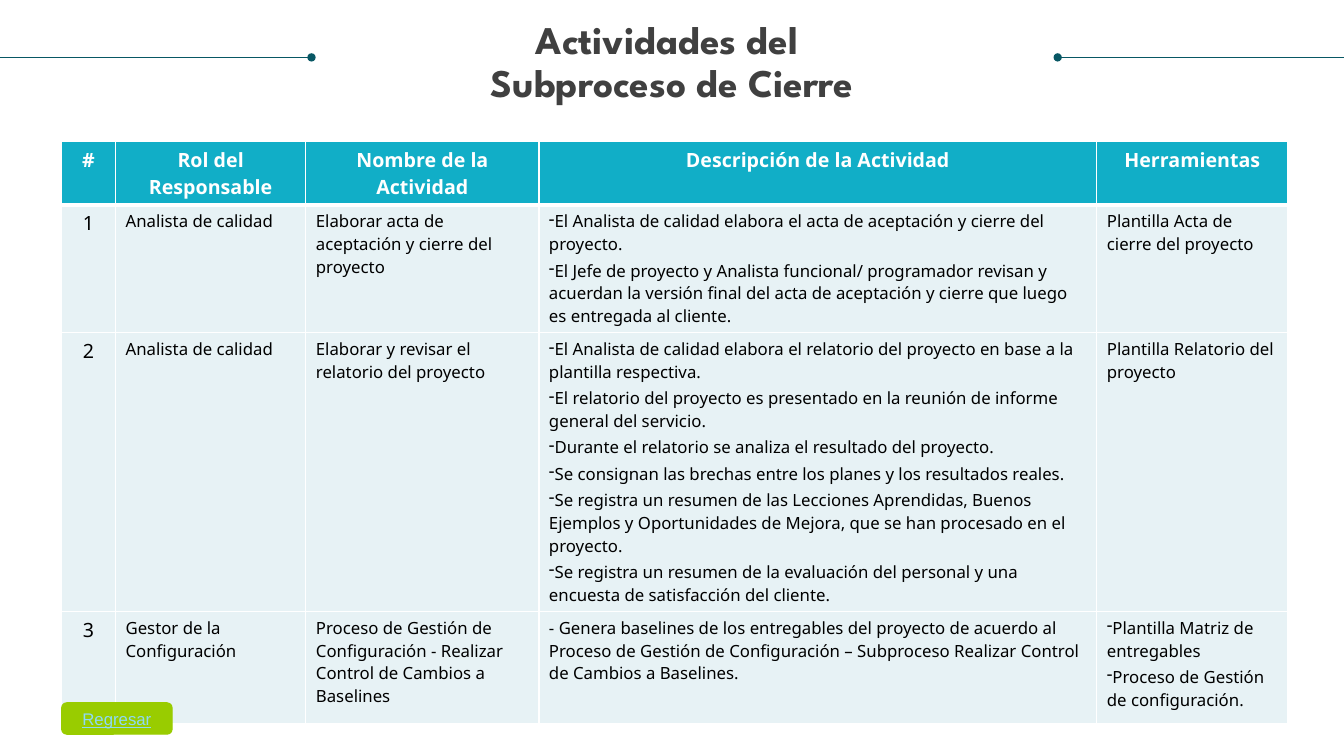
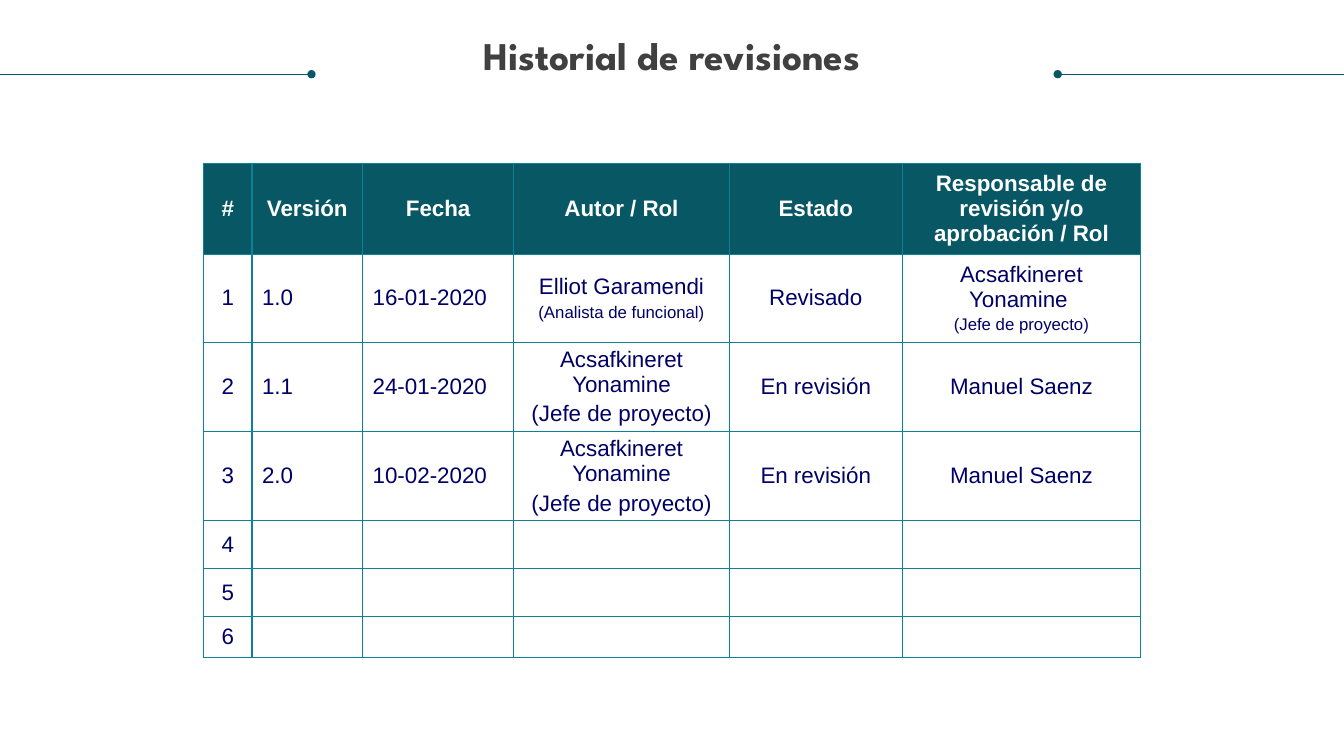
from dataclasses import dataclass

from lxml.etree import SubElement
from pptx import Presentation
from pptx.dml.color import RGBColor
from pptx.enum.shapes import MSO_CONNECTOR, MSO_SHAPE
from pptx.enum.text import MSO_ANCHOR, PP_ALIGN
from pptx.oxml import parse_xml
from pptx.oxml.ns import nsdecls, qn
from pptx.util import Pt

WHITE = RGBColor(0xFF, 0xFF, 0xFF)
BLACK = RGBColor(0x00, 0x00, 0x00)
CHARCOAL = RGBColor(0x40, 0x40, 0x40)
PETROL = RGBColor(0x08, 0x57, 0x64)
TEAL = RGBColor(0x0D, 0x82, 0x95)
TURQUOISE = RGBColor(0x11, 0xAE, 0xC7)
MIST = RGBColor(0xE7, 0xF2, 0xF5)
NAVY = RGBColor(0x00, 0x00, 0x66)
LIME = RGBColor(0x99, 0xCC, 0x00)
SKY = RGBColor(0x8E, 0xD9, 0xF6)

PAGE_WIDTH, PAGE_HEIGHT = 960, 540
RULE_LENGTH = 222.5
LEFT, CENTER = PP_ALIGN.LEFT, PP_ALIGN.CENTER


@dataclass
class Line:
    text: str
    size: float = 0
    bullet: bool = False


@dataclass
class TableStyle:
    font: str
    header_fill: RGBColor
    body_fill: RGBColor
    body_color: RGBColor
    border: RGBColor
    header_size: float
    column_sizes: tuple
    alignments: tuple
    anchor: MSO_ANCHOR
    header_rule: float = 1


def bullets(*texts):
    return [Line(text, bullet=True) for text in texts]


def write(frame, lines, size, font, color, bold=False, underline=False,
          align=LEFT, spacing=None, gap=0):
    for index, line in enumerate(lines):
        para = frame.paragraphs[0] if index == 0 else frame.add_paragraph()
        para.alignment = align
        if spacing:
            para.line_spacing = spacing
        line_size = line.size or size
        if index and gap:
            para.space_before = Pt(gap * line_size)
        if line.bullet:
            settings = para._p.get_or_add_pPr()
            settings.set("marL", "0")
            settings.set("indent", "0")
            SubElement(settings, qn("a:buChar")).set("char", "-")
        span = para.add_run()
        span.text = line.text
        span.font.size = Pt(line_size)
        span.font.name = font
        span.font.bold = bold
        span.font.underline = underline
        span.font.color.rgb = color


def add_rule(page, dot, edge, height):
    rule = page.shapes.add_connector(
        MSO_CONNECTOR.STRAIGHT, Pt(dot), Pt(height), Pt(edge), Pt(height))
    rule.line.color.rgb = PETROL
    rule.line.width = Pt(0.5)
    SubElement(rule.line._get_or_add_ln(), qn("a:headEnd")).set("type", "oval")
    SubElement(rule._element.spPr, qn("a:effectLst"))


def add_title(page, texts, top, height, rule_height):
    add_rule(page, PAGE_WIDTH - 204.5, PAGE_WIDTH, rule_height)
    box = page.shapes.add_textbox(Pt(18), Pt(top), Pt(924), Pt(height))
    frame = box.text_frame
    frame.word_wrap = True
    frame.margin_left = frame.margin_right = 0
    frame.margin_top = frame.margin_bottom = 0
    write(frame, [Line(text) for text in texts], 28, "League Spartan",
          CHARCOAL, bold=True, align=CENTER, spacing=0.9)
    add_rule(page, RULE_LENGTH, 0, rule_height)


def set_borders(cell, color, top, bottom):
    settings = cell._tc.get_or_add_tcPr()
    widths = {"lnL": 1, "lnR": 1, "lnT": top, "lnB": bottom}
    for position, (side, width) in enumerate(widths.items()):
        settings.insert(position, parse_xml(
            f'<a:{side} {nsdecls("a")} w="{Pt(width)}"><a:solidFill>'
            f'<a:srgbClr val="{color}"/></a:solidFill></a:{side}>'))


def add_grid(page, left, top, widths, heights, rows, style):
    table = page.shapes.add_table(
        len(heights), len(widths), Pt(left), Pt(top),
        Pt(sum(widths)), Pt(sum(heights))).table
    table.horz_banding = False
    table.first_row = False
    for column, width in zip(table.columns, widths):
        column.width = Pt(width)
    for row_index, (values, height) in enumerate(zip(rows, heights)):
        table.rows[row_index].height = Pt(height)
        header = row_index == 0
        for column_index, value in enumerate(values):
            cell = table.cell(row_index, column_index)
            cell.vertical_anchor = style.anchor
            cell.fill.solid()
            cell.fill.fore_color.rgb = (
                style.header_fill if header else style.body_fill)
            set_borders(cell, style.border,
                        style.header_rule if row_index == 1 else 1,
                        style.header_rule if header else 1)
            if value:
                write(cell.text_frame,
                      [Line(value)] if isinstance(value, str) else value,
                      style.header_size if header
                      else style.column_sizes[column_index],
                      style.font, WHITE if header else style.body_color,
                      bold=header, gap=0.2,
                      align=CENTER if header
                      else style.alignments[column_index])


def add_button(page, text, left, top, width, height):
    button = page.shapes.add_shape(
        MSO_SHAPE.FLOWCHART_ALTERNATE_PROCESS,
        Pt(left), Pt(top), Pt(width), Pt(height))
    button.shadow.inherit = False
    button.fill.solid()
    button.fill.fore_color.rgb = LIME
    button.line.color.rgb = LIME
    button.line.width = Pt(0.75)
    button.text_frame.word_wrap = False
    button.text_frame.vertical_anchor = MSO_ANCHOR.MIDDLE
    write(button.text_frame, [Line(text)], 12, "Arial", SKY,
          underline=True, align=CENTER)


def build_activities(page):
    rows = [
        ("#", "Rol del Responsable", "Nombre de la Actividad",
         "Descripción de la Actividad", "Herramientas"),
        ("1", "Analista de calidad",
         "Elaborar acta de aceptación y cierre del proyecto",
         bullets(
             "El Analista de calidad elabora el acta de aceptación y cierre "
             "del proyecto.",
             "El Jefe de proyecto y Analista funcional/ programador revisan y "
             "acuerdan la versión final del acta de aceptación y cierre que "
             "luego es entregada al cliente."),
         "Plantilla Acta de cierre del proyecto"),
        ("2", "Analista de calidad",
         "Elaborar y revisar el relatorio del proyecto",
         bullets(
             "El Analista de calidad elabora el relatorio del proyecto en "
             "base a la plantilla respectiva.",
             "El relatorio del proyecto es presentado en la reunión de "
             "informe general del servicio.",
             "Durante el relatorio se analiza el resultado del proyecto.",
             "Se consignan las brechas entre los planes y los resultados "
             "reales.",
             "Se registra un resumen de las Lecciones Aprendidas, Buenos "
             "Ejemplos y Oportunidades de Mejora, que se han procesado en el "
             "proyecto.",
             "Se registra un resumen de la evaluación del personal y una "
             "encuesta de satisfacción del cliente."),
         "Plantilla Relatorio del proyecto"),
        ("3", "Gestor de la Configuración",
         "Proceso de Gestión de Configuración - Realizar Control de Cambios "
         "a Baselines",
         "- Genera baselines de los entregables del proyecto de acuerdo al "
         "Proceso de Gestión de Configuración – Subproceso Realizar Control "
         "de Cambios a Baselines.",
         bullets("Plantilla Matriz de entregables",
                 "Proceso de Gestión de configuración.")),
    ]
    style = TableStyle(
        font="Noto Sans", header_fill=TURQUOISE, body_fill=MIST,
        body_color=BLACK, border=WHITE, header_size=14,
        column_sizes=(14, 12, 12, 12, 12),
        alignments=(CENTER, LEFT, LEFT, LEFT, LEFT),
        anchor=MSO_ANCHOR.TOP, header_rule=3)
    add_grid(page, 44, 101, (38.5, 136, 166.5, 398.5, 136.5),
             (45, 82, 190, 80.5), rows, style)
    add_title(page, ("Actividades del ", "Subproceso de Cierre"),
              15, 92.5, 41)
    add_button(page, "Regresar", 44, 502, 79, 22.5)


def build_revisions(page):
    manager = [Line("Acsafkineret Yonamine"), Line("(Jefe de proyecto)")]
    rows = [
        ("#", "Versión", "Fecha", "Autor / Rol", "Estado",
         "Responsable de revisión y/o aprobación / Rol"),
        ("1", "1.0", "16-01-2020",
         [Line("Elliot Garamendi"), Line("(Analista de funcional)", 12)],
         "Revisado",
         [Line("Acsafkineret Yonamine "), Line("(Jefe de proyecto)", 12)]),
        ("2", "1.1", "24-01-2020", manager, "En revisión", "Manuel Saenz"),
        ("3", "2.0", "10-02-2020", manager, "En revisión", "Manuel Saenz"),
    ] + [(str(number), "", "", "", "", "") for number in range(4, 7)]
    style = TableStyle(
        font="Arial", header_fill=PETROL, body_fill=WHITE,
        body_color=NAVY, border=TEAL, header_size=16,
        column_sizes=(16,) * 6,
        alignments=(CENTER, LEFT, LEFT, CENTER, CENTER, CENTER),
        anchor=MSO_ANCHOR.MIDDLE)
    add_grid(page, 145.5, 116.5, (34.5, 79, 108, 154, 123.5, 170.5),
             (65, 63, 63.5, 63.5, 34.25, 34.25, 28.5), rows, style)
    add_title(page, ("Historial de revisiones",), 26.5, 30.5, 53)


deck = Presentation()
deck.slide_width, deck.slide_height = Pt(PAGE_WIDTH), Pt(PAGE_HEIGHT)
for build in (build_activities, build_revisions):
    build(deck.slides.add_slide(deck.slide_layouts[6]))
deck.save("out.pptx")
